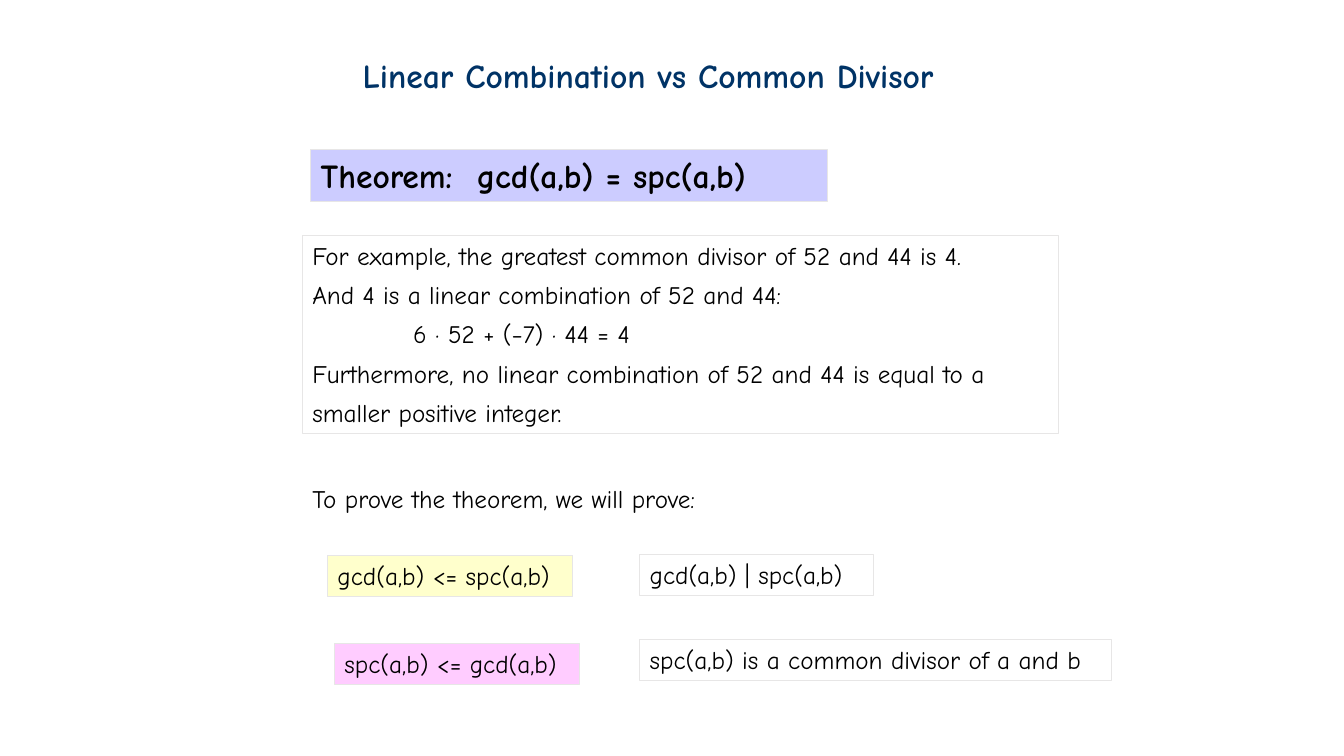
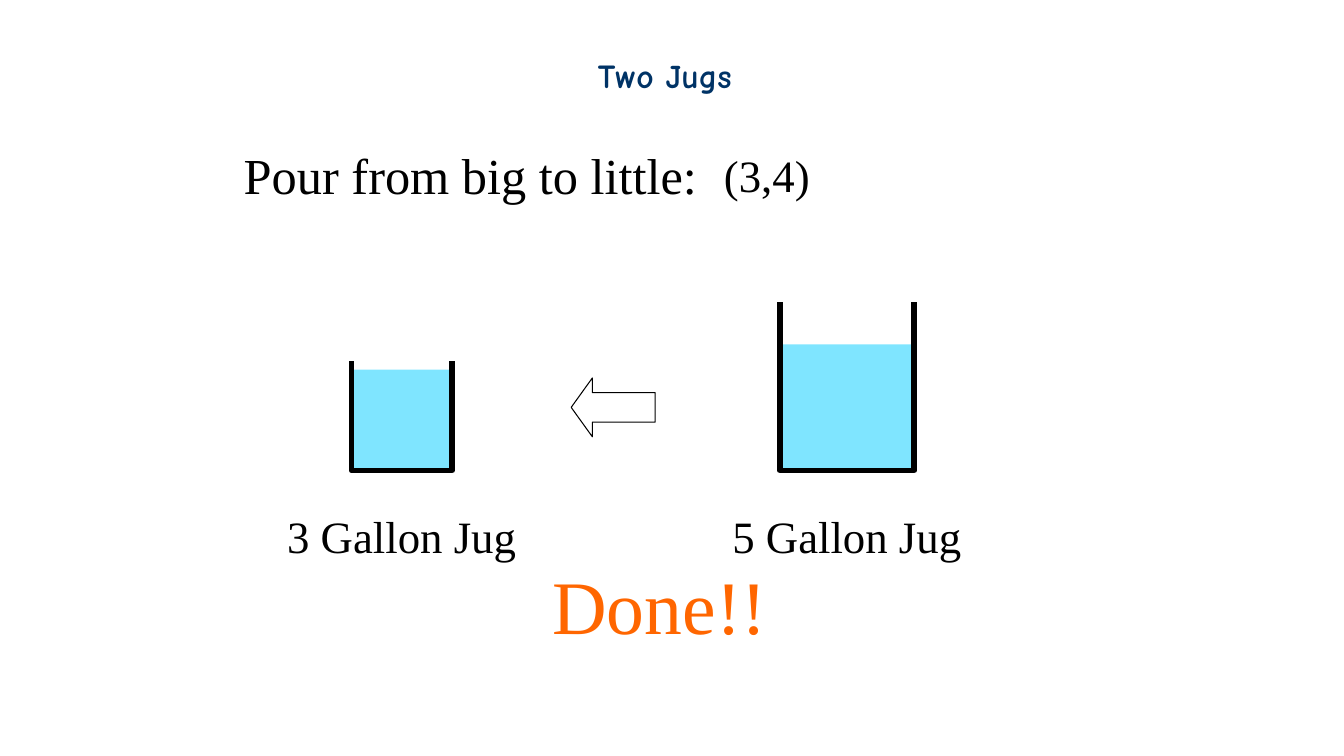
import pptx
import pptx.dml.color
import pptx.enum.shapes
import pptx.enum.text
import pptx.oxml.ns
import pptx.util
from dataclasses import dataclass
from lxml import etree
from typing import Any, Optional

Pt = pptx.util.Pt
SHAPES = pptx.enum.shapes.MSO_SHAPE
qn = pptx.oxml.ns.qn

COLORS = {
    "black": "000000", "title": "003366", "border": "E7E6E6",
    "theorem": "CCCCFF", "yellow": "FFFFCC", "pink": "FFCCFF",
    "water": "00CCFF", "done": "FF6600",
}

# Text formats
COMIC, TIMES = "Comic Neue", "Times New Roman"
TITLE = {"name": COMIC, "size": Pt(24), "bold": True, "color": "title"}
THEOREM = {**TITLE, "color": "black"}
BODY = {"name": COMIC, "size": Pt(18), "color": "black"}
LABEL = {"name": TIMES, "size": Pt(32), "color": "black"}
STEP = {**LABEL, "size": Pt(36)}
DONE = {**LABEL, "size": Pt(54), "color": "done"}


@dataclass
class Line:
    text: str
    spacing: Optional[float] = None
    indent: float = 0
    tab: float = 0


@dataclass
class Box:
    left: float
    top: float
    width: float
    height: float
    lines: list[Line]
    style: dict[str, Any]
    framed: bool = False
    fill: Optional[str] = None


@dataclass
class Jug:
    left: float
    top: float
    width: float
    height: float
    water: float


def rgb(name: str) -> pptx.dml.color.RGBColor:
    return pptx.dml.color.RGBColor.from_string(COLORS[name])


def set_outline(sp: Any, color: str, width: float) -> None:
    sp.line.color.rgb = rgb(color)
    sp.line.width = Pt(width)


def set_font(font: Any, style: dict[str, Any]) -> None:
    for key, value in style.items():
        if key == "color":
            font.color.rgb = rgb(value)
        else:
            setattr(font, key, value)


def add_box(s: Any, box: Box) -> None:
    """Draw a plain or framed box of left-aligned text."""
    place = [Pt(v) for v in (box.left, box.top, box.width, box.height)]
    if box.framed:
        sp = s.shapes.add_shape(SHAPES.RECTANGLE, *place)
        sp.shadow.inherit = False
        set_outline(sp, "border", 0.75)
        if box.fill:
            sp.fill.solid()
            sp.fill.fore_color.rgb = rgb(box.fill)
        else:
            sp.fill.background()
    else:
        sp = s.shapes.add_textbox(*place)
    tf = sp.text_frame
    tf.word_wrap = True
    tf.vertical_anchor = pptx.enum.text.MSO_ANCHOR.TOP
    for i, line in enumerate(box.lines):
        p = tf.paragraphs[0] if i == 0 else tf.add_paragraph()
        p.alignment = pptx.enum.text.PP_ALIGN.LEFT
        if line.spacing:
            p.line_spacing = line.spacing
        pPr = p._p.get_or_add_pPr()
        if line.indent:
            pPr.set("marL", str(Pt(line.indent)))
        if line.tab:
            tabs = etree.SubElement(pPr, qn("a:tabLst"))
            etree.SubElement(tabs, qn("a:tab"), pos=str(Pt(line.tab)), algn="l")
        r = p.add_run()
        r.text = line.text
        set_font(r.font, box.style)


def add_jug(s: Any, jug: Jug) -> None:
    """Draw half-transparent water and the open outline around it."""
    bottom, right = jug.top + jug.height, jug.left + jug.width
    sp = s.shapes.add_shape(
        SHAPES.RECTANGLE, Pt(jug.left), Pt(bottom - jug.water),
        Pt(jug.width), Pt(jug.water))
    sp.shadow.inherit = False
    sp.line.fill.background()
    sp.fill.solid()
    sp.fill.fore_color.rgb = rgb("water")
    color = sp._element.spPr.find(qn("a:solidFill"))[0]
    etree.SubElement(color, qn("a:alpha"), val="50000")

    path = s.shapes.build_freeform(jug.left, jug.top, scale=float(Pt(1)))
    path.add_line_segments(
        [(jug.left, bottom), (right, bottom), (right, jug.top)], close=False)
    sp = path.convert_to_shape()
    sp.shadow.inherit = False
    sp.fill.background()
    set_outline(sp, "black", 4)


def add_slide(prs: Any, title: str, left: float, width: float) -> Any:
    s = prs.slides.add_slide(prs.slide_layouts[6])
    add_box(s, Box(left, 36, width, 36, [Line(title)], TITLE))
    return s


def build_theorem(prs: Any) -> None:
    s = add_slide(prs, "Linear Combination vs Common Divisor", 252, 455)
    example = [
        Line("For example, the greatest common divisor of 52 and 44 is 4."),
        Line("And 4 is a linear combination of 52 and 44:", 1.3),
        Line("6 · 52 + (−7) · 44 = 4", 1.3, indent=72),
        Line("Furthermore, no linear combination of 52 and 44 is equal to a "
             "smaller positive integer.", 1.3),
    ]
    theorem = [Line("Theorem:\tgcd(a,b) = spc(a,b)", tab=111.5)]
    boxes = [
        Box(222, 107, 369, 37, theorem, THEOREM, True, "theorem"),
        Box(216, 168, 540, 142, example, BODY, True),
        Box(216, 342, 320, 29, [Line("To prove the theorem, we will prove:")],
            BODY),
    ]
    # Claims on the left, what each follows from on the right
    claims = [
        (234, 396.5, 175, "gcd(a,b) <= spc(a,b)", "yellow"),
        (239, 459.5, 175, "spc(a,b) <= gcd(a,b)", "pink"),
        (457, 396, 167, "gcd(a,b) | spc(a,b)", None),
        (457, 456.5, 337, "spc(a,b) is a common divisor of a and b", None),
    ]
    boxes += [Box(left, top, width, 29.5, [Line(text)], BODY, True, fill)
              for left, top, width, text, fill in claims]
    for box in boxes:
        add_box(s, box)


def build_jugs(prs: Any) -> None:
    s = add_slide(prs, "Two Jugs", 420, 130)
    texts = [
        (167, 99.5, 340, 50, "Pour from big to little:", STEP),
        (510, 102, 76, 45, "(3,4)", LABEL),
        (198, 360, 182, 46, "3 Gallon Jug", LABEL),
        (516, 360, 182, 46, "5 Gallon Jug", LABEL),
        (387.5, 396, 186, 72, "Done!!", DONE),
    ]
    for left, top, width, height, text, style in texts:
        add_box(s, Box(left, top, width, height, [Line(text)], style))

    # Jugs and the pouring direction
    for jug in (Jug(251, 258, 72, 78, 72), Jug(557, 216, 96, 120, 90)):
        add_jug(s, jug)
    sp = s.shapes.add_shape(SHAPES.LEFT_ARROW, Pt(408), Pt(270), Pt(60), Pt(42))
    sp.adjustments[1] = 0.36
    sp.shadow.inherit = False
    sp.fill.background()
    set_outline(sp, "black", 0.75)


def main() -> None:
    prs = pptx.Presentation()
    prs.slide_width, prs.slide_height = Pt(960), Pt(540)
    build_theorem(prs)
    build_jugs(prs)
    prs.save("out.pptx")


if __name__ == "__main__":
    main()
